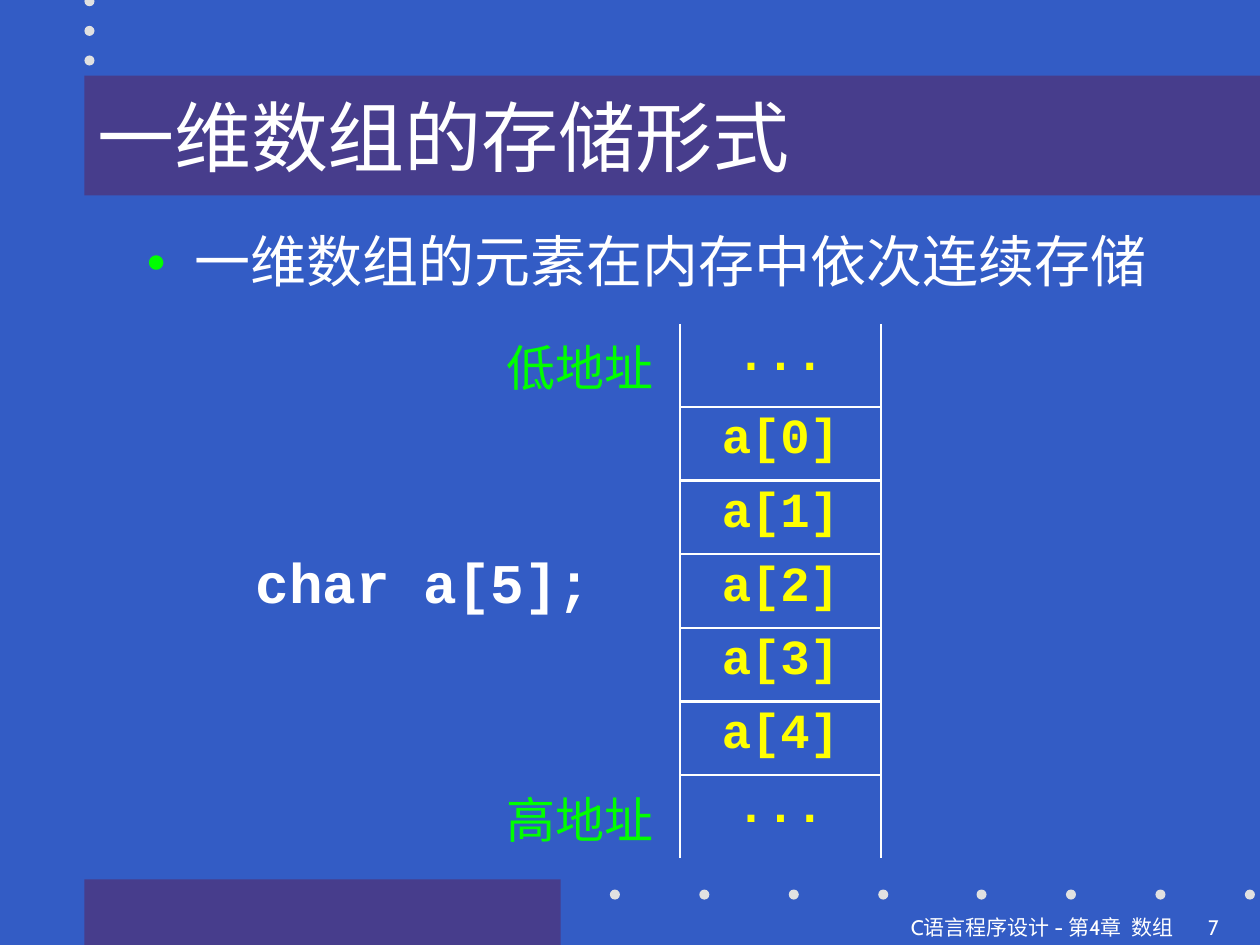
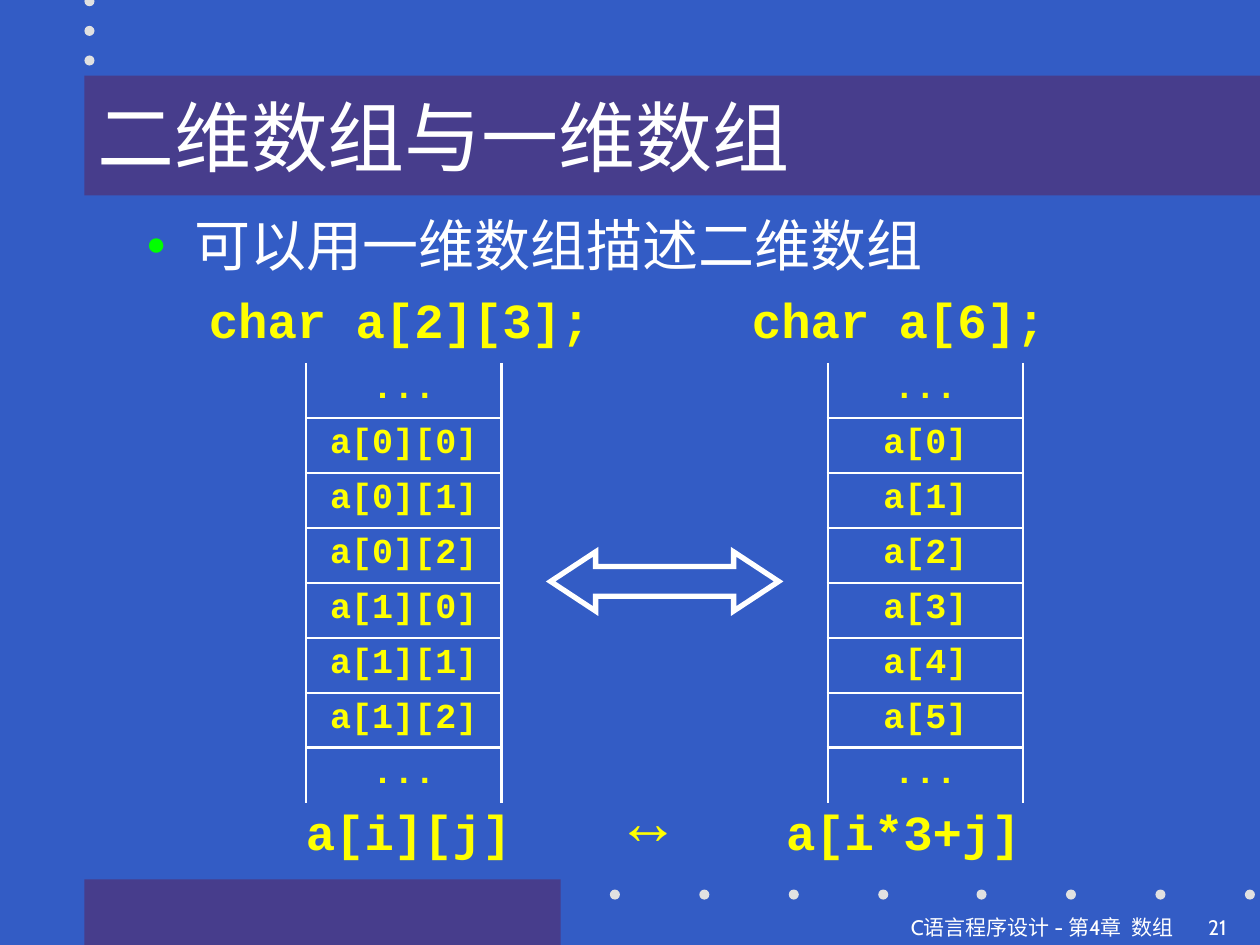
from lxml.etree import SubElement as Sub
from pptx import Presentation
from pptx.dml.color import RGBColor as RGB
from pptx.enum.shapes import MSO_SHAPE as Shape
from pptx.enum.text import MSO_ANCHOR as Anchor, MSO_AUTO_SIZE as Fit, PP_ALIGN as Align
from pptx.oxml.ns import qn
from pptx.util import Inches, Pt

BLUE = RGB(0x33, 0x5C, 0xC5)
PURPLE = RGB(0x47, 0x3D, 0x8C)
GREY = RGB(0xE1, 0xE1, 0xE1)
WHITE = RGB(0xFF, 0xFF, 0xFF)
GREEN = RGB(0x00, 0xFF, 0x00)
YELLOW = RGB(0xFF, 0xFF, 0x00)
SERIF, MONO, SANS = "Times New Roman", "Courier New", "Cabin"
COLS, ROWS = 100, 75
UNIT = Inches(10) // COLS
LEFT, DOT = 6.7, 0.8
RULE = Pt(1.47)
FOOT = "C语言程序设计 - 第4章  数组"


def grid(*cells):
    """Turn grid columns and rows into lengths."""
    return [round(cell * UNIT) for cell in cells]


def style(para, size, face, color, bold=False):
    """Format every run of a paragraph."""
    for run in para.runs:
        font = run.font
        font.size, font.name, font.bold = Pt(size), face, bold
        font.color.rgb = color


def block(slide, kind, box, color):
    """Draw a plain filled shape."""
    shape = slide.shapes.add_shape(kind, *grid(*box))
    shape.shadow.inherit = False
    shape.fill.solid()
    shape.fill.fore_color.rgb = color
    shape.line.fill.background()


def label(slide, box, text, size, face, color=WHITE, align=Align.LEFT):
    """Place one line of text, bold and unwrapped for code."""
    code = face == MONO
    frame = slide.shapes.add_textbox(*grid(*box)).text_frame
    frame.word_wrap = not code
    frame.text = text
    para = frame.paragraphs[0]
    para.alignment = align
    style(para, size, face, color, code)


def frame_slide(prs, title, number):
    """Add a slide with its band, dots, title and footer."""
    slide = prs.slides.add_slide(prs.slide_layouts[1])
    block(slide, Shape.RECTANGLE, (LEFT, 69.8, 37.8, 5.2), PURPLE)
    spots = [(LEFT, -0.3 + 2.35 * i) for i in range(3)]
    spots += [(x + 7.1 * i, 70.6) for x in (48.4, 77.5) for i in range(4)]
    for x, y in spots:
        block(slide, Shape.OVAL, (x, y, DOT, DOT), GREY)
    head = slide.shapes.title
    head.left, head.top, head.width, head.height = grid(LEFT, 6, COLS - LEFT, 9.5)
    head.fill.solid()
    head.fill.fore_color.rgb = PURPLE
    head.text_frame.text = title
    head.text_frame.auto_size = Fit.NONE
    head.text_frame.vertical_anchor = Anchor.MIDDLE
    para = head.text_frame.paragraphs[0]
    para.alignment = Align.LEFT
    style(para, 44, SERIF, WHITE)
    label(slide, (0, 72.1, 94.1, 2.8), FOOT, 12, SANS, align=Align.RIGHT)
    label(slide, (94.9, 72.1, 5.1, 2.8), str(number), 12, SANS)
    return slide


def bullet(slide, box, text):
    """Fill the body with one bulleted line."""
    body = slide.placeholders[1]
    body.left, body.top, body.width, body.height = grid(*box)
    frame = body.text_frame
    frame.auto_size = Fit.NONE
    frame.text = text
    para = frame.paragraphs[0]
    para.space_before = Pt(8)
    style(para, 32, SERIF, WHITE)
    props = para._p.get_or_add_pPr()
    props.set("marL", str(Inches(0.38)))
    props.set("indent", str(-Inches(0.38)))
    Sub(Sub(props, qn("a:buClr")), qn("a:srgbClr")).set("val", str(GREEN))
    Sub(props, qn("a:buSzPct")).set("val", "60000")
    Sub(props, qn("a:buChar")).set("char", "●")


def edge(cell, sides):
    """Rule the given sides of a cell and clear the others."""
    props = cell._tc.get_or_add_tcPr()
    for i, side in enumerate("LRTB"):
        line = props.makeelement(qn("a:ln" + side), {"w": str(RULE)})
        props.insert(i, line)
        if side in sides:
            Sub(Sub(line, qn("a:solidFill")), qn("a:srgbClr")).set("val", str(WHITE))
        else:
            Sub(line, qn("a:noFill"))


def write(cell, text, size, gap, face, color, bold):
    """Write centred text in a cell."""
    cell.text = text
    para = cell.text_frame.paragraphs[0]
    para.alignment = Align.CENTER
    para.space_before = Pt(gap)
    style(para, size, face, color, bold)


def memory(slide, box, names, size, gap, ends=None):
    """Draw memory cells, open at both ends, with optional end labels."""
    items = ["...", *names, "..."]
    last, wide = len(items) - 1, 2 if ends else 1
    table = slide.shapes.add_table(last + 1, wide, *grid(*box)).table
    table.first_row = table.horz_banding = False
    for i, item in enumerate(items):
        cell = table.cell(i, wide - 1)
        write(cell, item, size, gap, MONO, YELLOW, True)
        edge(cell, "LR" + "T" * (i > 0) + "B" * (i < last))
        cell.fill.background()
        if ends:
            side = table.cell(i, 0)
            edge(side, "R")
            side.fill.background()
    for i, text in zip((0, last), ends or ()):
        write(table.cell(i, 0), text, size, gap, SERIF, GREEN, False)
        table.rows[i].height = grid(6.6)[0]


def swap(slide, box):
    """Draw the outlined two-way arrow with sharp corners."""
    arrow = slide.shapes.add_shape(Shape.LEFT_RIGHT_ARROW, *grid(*box))
    arrow.shadow.inherit = False
    arrow.adjustments[0], arrow.adjustments[1] = 0.5, 0.76
    arrow.fill.background()
    arrow.line.color.rgb = WHITE
    arrow.line.width = Pt(3)
    line = arrow._element.spPr.find(qn("a:ln"))
    Sub(line, qn("a:miter")).set("lim", "800000")


def storage(prs):
    """Build the slide on one-dimensional storage."""
    slide = frame_slide(prs, "一维数组的存储形式", 7)
    bullet(slide, (10.6, 17.5, 84.4, 52.3), "一维数组的元素在内存中依次连续存储")
    names = [f"a[{i}]" for i in range(5)]
    memory(slide, (38.1, 25.7, 31.8, 40.9), names, 28, 7, ("低地址", "高地址"))
    label(slide, (19.3, 43, 28.7, 6.4), "char a[5];", 32, MONO)


def mapping(prs):
    """Build the slide that maps two dimensions to one."""
    slide = frame_slide(prs, "二维数组与一维数组", 21)
    bullet(slide, (10.6, 16.2, 84.4, 8), "可以用一维数组描述二维数组")
    pairs = [f"a[{i}][{j}]" for i in range(2) for j in range(3)]
    flat = [f"a[{i}]" for i in range(6)]
    for x, names in ((24.3, pairs), (65.7, flat)):
        memory(slide, (x, 28.8, 15.5, 34.9), names, 20, 5)
    swap(slide, (43.7, 43.8, 18.1, 4.7))
    codes = (
        (15.6, 22.5, 32.3, "char a[2][3];", 28),
        (58.7, 22.5, 25.3, "char a[6];", 28),
        (23.3, 63.1, 18.3, "a[i][j]", 28),
        (49, 61.5, 5, "↔", 36),
        (61.4, 63.1, 20.7, "a[i*3+j]", 28),
    )
    for x, y, width, text, size in codes:
        label(slide, (x, y, width, size / 5), text, size, MONO, YELLOW)


def main():
    """Build and save both slides."""
    prs = Presentation()
    prs.slide_width, prs.slide_height = grid(COLS, ROWS)
    fill = prs.slide_master.background.fill
    fill.solid()
    fill.fore_color.rgb = BLUE
    storage(prs)
    mapping(prs)
    prs.save("out.pptx")


if __name__ == "__main__":
    main()
